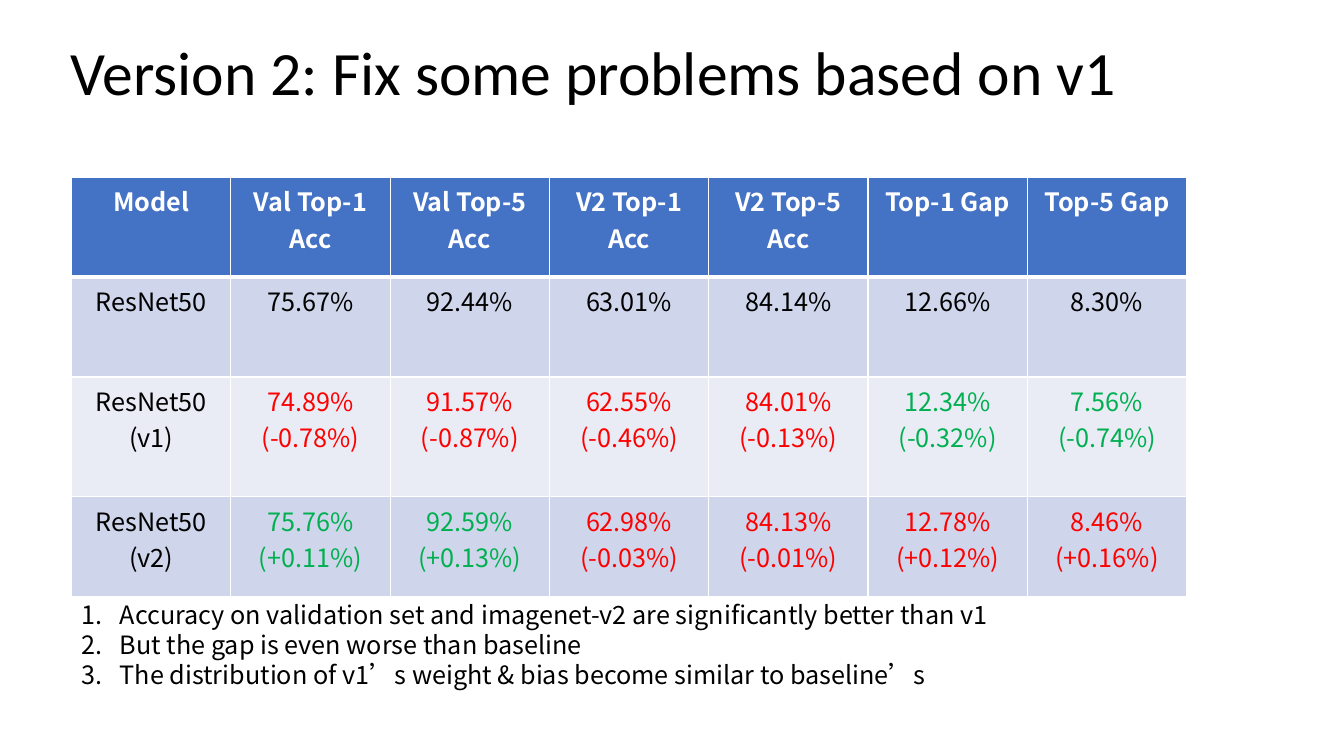
from dataclasses import dataclass

from lxml import etree
from pptx import Presentation, util as u
from pptx.dml.color import RGBColor
from pptx.enum import text
from pptx.oxml import ns

# Content
TITLE = "Version 2: Fix some problems based on v1"
HEADERS = ["Model", "Val Top-1 Acc", "Val Top-5 Acc", "V2 Top-1 Acc",
           "V2 Top-5 Acc", "Top-1 Gap", "Top-5 Gap"]
# Each cell is a tuple of lines: name and version, or value and change
RESULTS = [
    [("ResNet50",), ("75.67%",), ("92.44%",), ("63.01%",),
     ("84.14%",), ("12.66%",), ("8.30%",)],
    [("ResNet50", "(v1)"), ("74.89%", "(-0.78%)"), ("91.57%", "(-0.87%)"),
     ("62.55%", "(-0.46%)"), ("84.01%", "(-0.13%)"),
     ("12.34%", "(-0.32%)"), ("7.56%", "(-0.74%)")],
    [("ResNet50", "(v2)"), ("75.76%", "(+0.11%)"), ("92.59%", "(+0.13%)"),
     ("62.98%", "(-0.03%)"), ("84.13%", "(-0.01%)"),
     ("12.78%", "(+0.12%)"), ("8.46%", "(+0.16%)")],
]
FINDINGS = [
    "Accuracy on validation set and imagenet-v2 are significantly better than v1",
    "But the gap is even worse than baseline",
    "The distribution of v1’s weight & bias become similar to baseline’s",
]


@dataclass(frozen=True)
class Theme:
    title_font: str = "Calibri"
    body_font: str = "Noto Sans CJK SC"
    title_size: int = 44
    body_size: int = 18
    ink: str = "000000"
    white: str = "FFFFFF"
    header: str = "4472C4"
    band_dark: str = "CFD5EA"
    band_light: str = "E9EBF5"
    better: str = "00B050"
    worse: str = "FF0000"


THEME = Theme()
TABLE_LEFT, TABLE_TOP = 0.71, 1.76
COLUMN_WIDTH = 1.58
ROW_HEIGHTS = [0.99, 0.99, 1.19, 0.99]


def add_run(paragraph, content, font_name, size, color, bold=False):
    run = paragraph.add_run()
    run.text = content
    run.font.name = font_name
    run.font.size = u.Pt(size)
    run.font.bold = bold
    run.font.color.rgb = RGBColor.from_string(color)
    east_asian = etree.SubElement(run.font._element, ns.qn("a:ea"))
    east_asian.set("typeface", font_name)


def set_border(cell, side, points):
    line = etree.Element(ns.qn("a:" + side), w=str(u.Pt(points)))
    fill = etree.SubElement(line, ns.qn("a:solidFill"))
    etree.SubElement(fill, ns.qn("a:srgbClr"), val=THEME.white)
    return line


def fill_cell(cell, lines, color, fill, bold=False, top=1, bottom=1):
    cell.fill.solid()
    cell.fill.fore_color.rgb = RGBColor.from_string(fill)
    # Borders come before the fill in the cell properties
    sides = [("lnL", 1), ("lnR", 1), ("lnT", top), ("lnB", bottom)]
    for position, (side, points) in enumerate(sides):
        cell._tc.tcPr.insert(position, set_border(cell, side, points))
    frame = cell.text_frame
    for index, content in enumerate(lines):
        paragraph = frame.add_paragraph() if index else frame.paragraphs[0]
        paragraph.alignment = text.PP_ALIGN.CENTER
        add_run(paragraph, content, THEME.body_font, THEME.body_size, color, bold)


def result_color(lines, header):
    """Higher accuracy is better; a higher gap is worse."""
    change = lines[-1]
    if change[:2] not in ("(+", "(-"):
        return THEME.ink
    rises = change.startswith("(+")
    return THEME.better if rises == header.endswith("Acc") else THEME.worse


def add_title(slide):
    title = slide.shapes.title
    title.left, title.top = u.Inches(0.6), u.Inches(0.02)
    title.width, title.height = u.Inches(11.5), u.Inches(1.45)
    frame = title.text_frame
    frame.word_wrap = True
    frame.auto_size = text.MSO_AUTO_SIZE.NONE
    frame.vertical_anchor = text.MSO_ANCHOR.MIDDLE
    paragraph = frame.paragraphs[0]
    paragraph.alignment = text.PP_ALIGN.LEFT
    paragraph.line_spacing = 0.9
    add_run(paragraph, TITLE, THEME.title_font, THEME.title_size, THEME.ink)


def add_results(slide):
    table = slide.shapes.add_table(
        len(ROW_HEIGHTS), len(HEADERS), u.Inches(TABLE_LEFT), u.Inches(TABLE_TOP),
        u.Inches(COLUMN_WIDTH * len(HEADERS)), u.Inches(sum(ROW_HEIGHTS))).table
    for column in table.columns:
        column.width = u.Inches(COLUMN_WIDTH)
    for row, height in zip(table.rows, ROW_HEIGHTS):
        row.height = u.Inches(height)
    for column, header in enumerate(HEADERS):
        fill_cell(table.cell(0, column), [header], THEME.white, THEME.header,
                  bold=True, bottom=3)
        for row, results in enumerate(RESULTS, start=1):
            band = THEME.band_dark if row % 2 else THEME.band_light
            lines = results[column]
            fill_cell(table.cell(row, column), lines, result_color(lines, header),
                      band, top=3 if row == 1 else 1)


def add_findings(slide):
    box = slide.shapes.add_textbox(u.Inches(TABLE_LEFT), u.Inches(5.9),
                                   u.Inches(10.1), u.Inches(1.01))
    frame = box.text_frame
    frame.word_wrap = True
    for index, finding in enumerate(FINDINGS):
        paragraph = frame.add_paragraph() if index else frame.paragraphs[0]
        paragraph.line_spacing = u.Pt(21.5)
        properties = paragraph._p.get_or_add_pPr()
        properties.set("marL", str(u.Inches(0.38)))
        properties.set("indent", str(-u.Inches(0.38)))
        etree.SubElement(properties, ns.qn("a:buFont"), typeface=THEME.body_font)
        etree.SubElement(properties, ns.qn("a:buAutoNum"), type="arabicPeriod")
        add_run(paragraph, finding, THEME.body_font, THEME.body_size, THEME.ink)


def main():
    presentation = Presentation()
    presentation.slide_width = u.Inches(13.33)
    presentation.slide_height = u.Inches(7.5)
    slide = presentation.slides.add_slide(presentation.slide_layouts[5])
    add_title(slide)
    add_results(slide)
    add_findings(slide)
    presentation.save("out.pptx")


if __name__ == "__main__":
    main()
